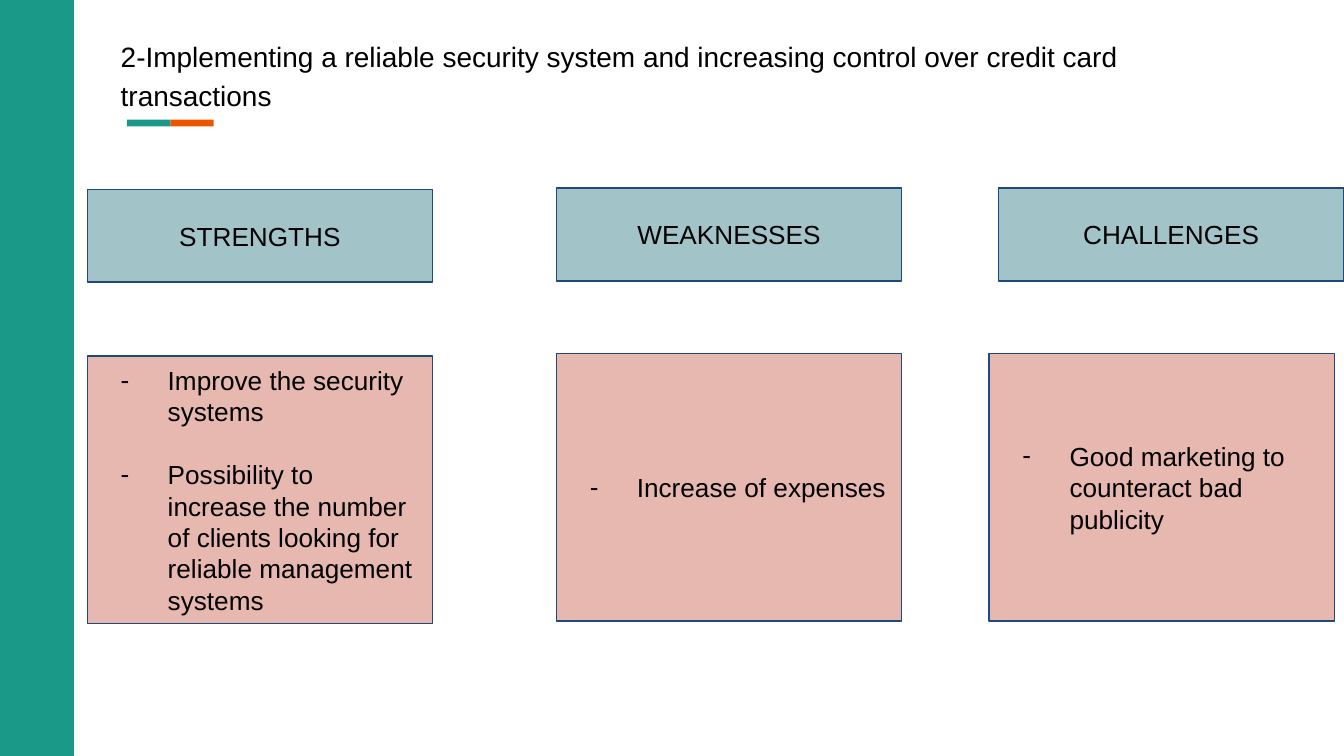
from lxml import etree
from pptx import Presentation, util as u
from pptx.dml.color import RGBColor
from pptx.enum import shapes, text
from pptx.oxml.ns import qn

TEAL = RGBColor(0x1A, 0x99, 0x88)
ORANGE = RGBColor(0xEB, 0x55, 0x00)
PINK = RGBColor(0xE6, 0xB8, 0xAF)
PALE_BLUE = RGBColor(0xA2, 0xC4, 0xC9)
NAVY = RGBColor(0x1F, 0x49, 0x7D)
BLACK = RGBColor(0, 0, 0)

COLUMNS, ROWS = 1000, 562.5
CELL = u.Inches(0.01)
HEADING_ROWS, POINTS_ROWS = 69, 199

TITLE = ("2-Implementing a reliable security system and increasing "
         "control over credit card transactions")
TOPICS = [
    ("STRENGTHS", ["Improve the security systems",
                   "Possibility to increase the number of clients looking "
                   "for reliable management systems"], (65, 141, 257, 323), 0),
    ("WEAKNESSES", ["Increase of expenses"], (414, 140, 257, 322), 0),
    ("CHALLENGES", ["Good marketing to counteract bad publicity"],
     (743, 140, 257, 322), -7),
]


def on_grid(box):
    """Turn a box in columns and rows into slide lengths."""
    return [round(cells * CELL) for cells in box]


def add_panel(slide, box, fill, line=None):
    """Add a flat rectangle with an optional thin outline."""
    panel = slide.shapes.add_shape(shapes.MSO_SHAPE.RECTANGLE, *on_grid(box))
    panel.shadow.inherit = False
    panel.fill.solid()
    panel.fill.fore_color.rgb = fill
    if line is None:
        panel.line.fill.background()
    else:
        panel.line.color.rgb = line
        panel.line.width = u.Pt(0.75)
    return panel


def add_dash(paragraph):
    """Give a paragraph a hanging dash bullet."""
    layout = paragraph._p.get_or_add_pPr()
    layout.set("marL", str(u.Inches(0.5)))
    layout.set("indent", str(u.Inches(-0.35)))
    colour = etree.SubElement(layout, qn("a:buClr"))
    etree.SubElement(colour, qn("a:srgbClr")).set("val", str(BLACK))
    etree.SubElement(layout, qn("a:buFont")).set("typeface", "Arial")
    etree.SubElement(layout, qn("a:buChar")).set("char", "-")


def write(holder, lines, size=14, align=text.PP_ALIGN.LEFT,
          anchor=text.MSO_ANCHOR.MIDDLE, spacing=None, gap=0, dashed=False):
    """Fill a shape with formatted paragraphs."""
    frame = holder.text_frame
    frame.word_wrap = True
    frame.vertical_anchor = anchor
    frame.margin_left = frame.margin_right = u.Inches(0.1)
    frame.margin_top = frame.margin_bottom = u.Inches(0.1)
    for index, line in enumerate(lines):
        paragraph = frame.add_paragraph() if index else frame.paragraphs[0]
        paragraph.alignment = align
        if spacing:
            paragraph.line_spacing = spacing
        if index:
            paragraph.space_before = u.Pt(gap)
        if dashed:
            add_dash(paragraph)
        run = paragraph.add_run()
        run.text = line
        run.font.name = "Arial"
        run.font.size = u.Pt(size)
        run.font.color.rgb = BLACK


def add_sidebar(slide, box):
    """Draw the coloured band along the slide edge."""
    add_panel(slide, box, TEAL)


def add_title(slide, box):
    """Place the title and the two-tone accent under it."""
    left, top, width, height = box
    for index, colour in enumerate((TEAL, ORANGE)):
        add_panel(slide, (left + 14.5 + 32.3 * index, top + 73, 32.3, 5), colour)
    title = slide.shapes.add_textbox(*on_grid(box))
    write(title, [TITLE], size=15, spacing=1.15, anchor=text.MSO_ANCHOR.TOP)


def add_topic(slide, box, heading, points, shift):
    """Place a heading at the top of the box and its points at the bottom."""
    left, top, width, height = box
    points_box = (left + shift, top + height - POINTS_ROWS, width, POINTS_ROWS)
    write(add_panel(slide, points_box, PINK, NAVY), points, gap=16.8, dashed=True)
    heading_box = (left, top, width, HEADING_ROWS)
    write(add_panel(slide, heading_box, PALE_BLUE, NAVY), [heading],
          align=text.PP_ALIGN.CENTER)


def main():
    """Build and save the slide."""
    deck = Presentation()
    deck.slide_width, deck.slide_height = on_grid((COLUMNS, ROWS))
    slide = deck.slides.add_slide(deck.slide_layouts[6])
    add_sidebar(slide, (0, 0, 55, ROWS))
    for heading, points, box, shift in TOPICS:
        add_topic(slide, box, heading, points, shift)
    add_title(slide, (80, 16, 866, 102))
    deck.save("out.pptx")


if __name__ == "__main__":
    main()
